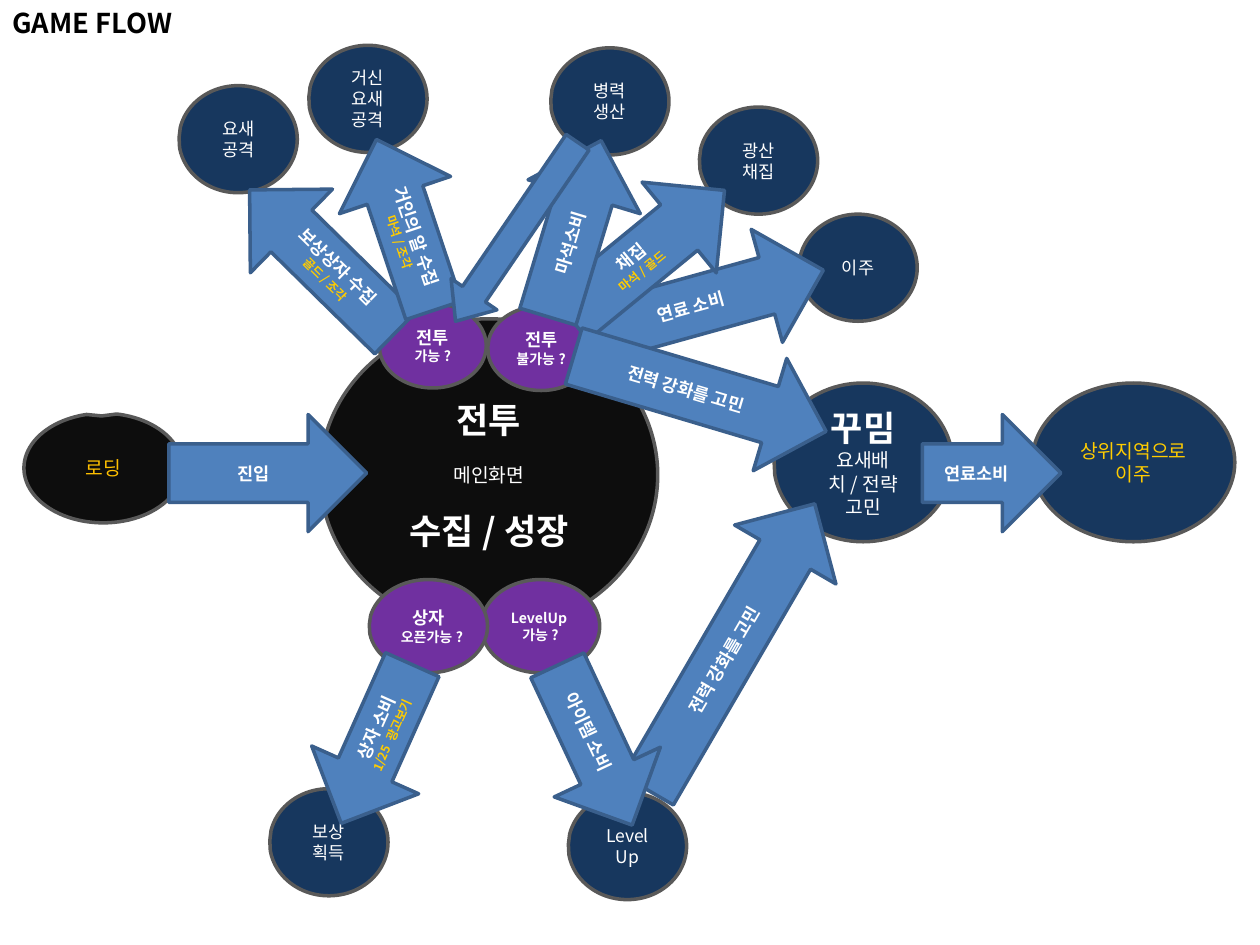
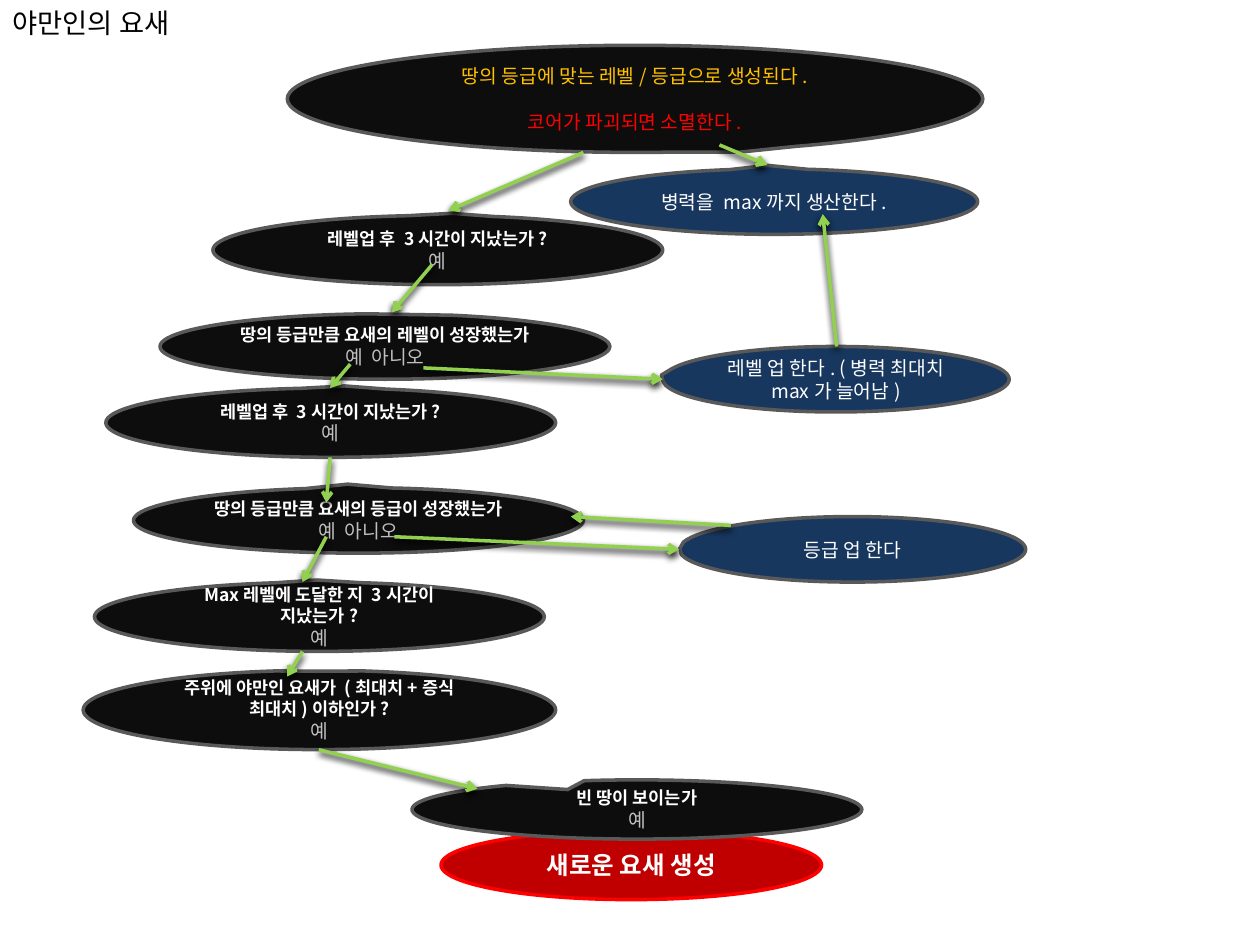
from dataclasses import dataclass, field

from lxml import etree
from pptx import Presentation, util as u
from pptx.dml.color import RGBColor
from pptx.enum import shapes, text
from pptx.oxml.ns import qn


@dataclass(frozen=True)
class Theme:
    font: str = "Noto Sans CJK KR"
    title_size: float = 15.6
    line_width: float = 2
    line_height: float = 1.2
    # Text styles: size, colour, bold
    styles: dict = field(default_factory=lambda: {
        "hero": (20, "FFFFFF", True),
        "result": (14, "FFFFFF", True),
        "body": (11, "FFFFFF", False),
        "amber": (11, "FFC000", False),
        "yellow": (11, "FFCC00", False),
        "red": (11, "FF0000", False),
        "answer": (11, "BFBFBF", False),
        "strong": (10, "FFFFFF", True),
        "node": (10, "FFFFFF", False),
        "check": (8, "FFFFFF", True),
        "reward": (7, "FFCC00", True),
    })
    # Shape looks: fill, outline
    looks: dict = field(default_factory=lambda: {
        "black": ("0D0D0D", "595959"),
        "navy": ("17375E", "595959"),
        "purple": ("7030A0", "595959"),
        "red": ("C00000", "FF0000"),
        "arrow": ("4F81BD", "3A5F8C"),
    })
    link: str = "92D050"
    shadow: str = "000000"


THEME = Theme()
NO_TAIL = (-0.498, -0.016)
BLANK_LINE = 11 * THEME.line_height
NODE_SIZE = (0.94, 0.85)
ARROW_HEIGHT = 0.93
QUESTION_WIDTH = 3.57


# Shared helpers
def set_format(target, values):
    for name, value in values.items():
        setattr(target, name, value)


def set_font(paragraph, size, colour, bold):
    for run in paragraph.runs:
        set_format(run.font, {"name": THEME.font, "size": u.Pt(size), "bold": bold})
        run.font.color.rgb = RGBColor.from_string(colour)
        east_asian = etree.SubElement(run.font._element, qn("a:ea"))
        east_asian.set("typeface", THEME.font)


def write_lines(shape, lines):
    """Each line is (text, style) or (text, style, space before)."""
    frame = shape.text_frame
    set_format(frame, {"word_wrap": True, "vertical_anchor": text.MSO_ANCHOR.MIDDLE})
    for index, (words, style, *space) in enumerate(lines):
        paragraph = frame.paragraphs[0] if index == 0 else frame.add_paragraph()
        size, colour, bold = THEME.styles[style]
        set_format(paragraph, {
            "text": words,
            "alignment": text.PP_ALIGN.CENTER,
            "line_spacing": u.Pt(size * THEME.line_height),
            "space_before": u.Pt(space[0] if space else 0),
        })
        set_font(paragraph, size, colour, bold)


def add_block(slide, kind, box, look, lines, adjustments=()):
    shape = slide.shapes.add_shape(kind, *map(u.Inches, box))
    fill, outline = THEME.looks[look]
    shape.shadow.inherit = False
    shape.fill.solid()
    shape.fill.fore_color.rgb = RGBColor.from_string(fill)
    shape.line.color.rgb = RGBColor.from_string(outline)
    shape.line.width = u.Pt(THEME.line_width)
    for index, value in enumerate(adjustments):
        shape.adjustments[index] = value
    write_lines(shape, lines)
    return shape


def add_oval(slide, box, look, lines, tail=NO_TAIL):
    return add_block(slide, shapes.MSO_SHAPE.OVAL_CALLOUT, box, look, lines, tail)


def add_arrow(slide, box, lines, rotation=0, flip=False, adjustments=()):
    arrow = add_block(slide, shapes.MSO_SHAPE.RIGHT_ARROW, box, "arrow", lines, adjustments)
    arrow.rotation = rotation
    if flip:
        arrow._element.spPr.xfrm.set("flipH", "1")


def add_link(slide, start, end):
    link = slide.shapes.add_connector(
        shapes.MSO_CONNECTOR.STRAIGHT, *map(u.Inches, start + end))
    link.line.color.rgb = RGBColor.from_string(THEME.link)
    link.line.width = u.Pt(THEME.line_width)
    properties = link._element.spPr
    etree.SubElement(properties.find(qn("a:ln")), qn("a:tailEnd"), type="arrow")
    effects = etree.SubElement(properties, qn("a:effectLst"))
    shadow = etree.SubElement(
        effects, qn("a:outerShdw"), blurRad=str(u.Pt(4)), dist=str(u.Pt(2)),
        dir="5400000", rotWithShape="0")
    etree.SubElement(shadow, qn("a:srgbClr"), val=THEME.shadow)


def add_titled_slide(presentation, words, bold):
    slide = presentation.slides.add_slide(presentation.slide_layouts[5])
    title = slide.shapes.title
    set_format(title, {"left": 0, "top": 0,
                       "width": u.Inches(9.69), "height": u.Inches(0.36)})
    set_format(title.text_frame, {
        "text": words, "word_wrap": True,
        "auto_size": text.MSO_AUTO_SIZE.NONE,
        "vertical_anchor": text.MSO_ANCHOR.MIDDLE,
    })
    paragraph = title.text_frame.paragraphs[0]
    paragraph.alignment = text.PP_ALIGN.LEFT
    set_font(paragraph, THEME.title_size, "000000", bold)
    return slide


# Slide 1: the main screen and the activities around it
def build_game_flow(presentation):
    slide = add_titled_slide(presentation, "GAME FLOW", True)

    # Main screen and loading
    add_oval(slide, (2.54, 2.53, 2.68, 2.48), "black", [
        ("전투", "hero"),
        ("메인화면", "body", BLANK_LINE),
        ("수집/성장", "hero", BLANK_LINE),
    ], (0, 0.476))
    add_oval(slide, (0.19, 3.28, 1.26, 0.87), "black", [("로딩", "amber")], (-0.01, -0.475))

    # Checks on the rim of the main screen
    checks = [
        ((3.01, 2.41, 0.85, 0.67), [("전투", "strong"), ("가능?", "check")]),
        ((3.87, 2.43, 0.85, 0.67), [("전투", "strong"), ("불가능?", "check")]),
        ((3.82, 4.6, 0.94, 0.74), [("LevelUp가능?", "check")]),
        ((2.93, 4.6, 0.94, 0.74), [("상자", "strong"), ("오픈가능?", "check")]),
    ]
    for box, lines in checks:
        add_oval(slide, box, "purple", lines)

    # Activities
    activities = [
        (6.34, 1.7, ["이주"]),
        (1.42, 0.68, ["요새", "공격"]),
        (2.45, 0.36, ["거신", "요새", "공격"]),
        (4.51, 6.29, ["Level", "Up"]),
        (2.14, 6.26, ["보상", "획득"]),
        (5.55, 0.85, ["광산", "채집"]),
        (4.37, 0.38, ["병력", "생산"]),
    ]
    for left, top, words in activities:
        add_oval(slide, (left, top, *NODE_SIZE), "navy", [(word, "node") for word in words])

    # Decoration and moving on
    add_oval(slide, (6.14, 3.04, 1.42, 1.26), "navy",
             [("꾸밈", "hero"), ("요새배치/전략 고민", "body")])
    add_oval(slide, (8.19, 3.04, 1.61, 1.26), "navy", [("상위지역으로 이주", "yellow")])

    # Arrows: left, top, width, rotation, flipped, action, reward
    arrows = [
        (4.62, 1.94, 1.95, 344.5, False, "연료 소비", None),
        (1.75, 1.61, 1.62, 44.5, True, "보상상자 수집", "골드/조각"),
        (2.5, 1.32, 1.43, 71.5, True, "거인의 알 수집", "마석/조각"),
        (4.34, 1.55, 1.59, 320.7, False, "채집", "마석/골드"),
        (4.51, 2.66, 2.09, 16.6, False, "전력 강화를 고민", None),
        (4.49, 4.67, 2.63, 300.2, False, "전력 강화를 고민", None),
        (4.02, 5.45, 1.4, 64.9, False, "아이템 소비", None),
        (2.3, 5.44, 1.38, 294.1, True, "상자 소비", "1/25 광고보기"),
        (1.34, 3.29, 1.57, 0, False, "진입", None),
        (7.32, 3.29, 1.1, 0, False, "연료소비", None),
        (3.83, 1.35, 1.46, 286.8, False, "마석소비", None),
    ]
    for left, top, width, rotation, flip, action, reward in arrows:
        lines = [(action, "strong")] + ([(reward, "reward")] if reward else [])
        add_arrow(slide, (left, top, width, ARROW_HEIGHT), lines, rotation, flip)
    # Troops return to battle
    add_arrow(slide, (3.24, 1.62, 1.72, 0.44), [], 304.3, True, (0.5, 0.59))


# Slide 2: how a fortress grows
def build_fortress_flow(presentation):
    slide = add_titled_slide(presentation, "야만인의 요새", False)

    # Result and starting rule
    add_oval(slide, (3.5, 6.59, 3.02, 0.55), "red",
             [("새로운 요새 생성", "result")], (0.008, -0.413))
    add_oval(slide, (2.28, 0.36, 5.52, 0.85), "black", [
        ("땅의 등급에 맞는 레벨/등급으로 생성된다.", "amber"),
        ("코어가 파괴되면 소멸한다.", "red", BLANK_LINE),
    ], (0.15, 0.498))

    # Questions: left, top, width, height, question, answers, tail
    waited = "레벨업 후 3시간이 지났는가?"
    questions = [
        (1.27, 2.49, QUESTION_WIDTH, 0.52, "땅의 등급만큼 요새의 레벨이 성장했는가",
         "예  아니오", (0.054, -0.488)),
        (3.27, 6.19, QUESTION_WIDTH, 0.47, "빈 땅이 보이는가", "예", (-0.154, -0.337)),
        (0.66, 5.32, 3.75, 0.63, "주위에 야만인 요새가 (최대치+증식 최대치)이하인가?",
         "예", (0, -0.49)),
        (1.69, 1.71, QUESTION_WIDTH, 0.55, waited, "예", (0.031, -0.531)),
        (1.06, 3.87, QUESTION_WIDTH, 0.52, "땅의 등급만큼 요새의 등급이 성장했는가",
         "예  아니오", (-0.024, -0.553)),
        (0.75, 4.62, QUESTION_WIDTH, 0.55, "Max레벨에 도달한 지 3시간이 지났는가?",
         "예", (-0.005, -0.531)),
        (0.84, 3.08, QUESTION_WIDTH, 0.55, waited, "예", (0.031, -0.531)),
    ]
    for *box, question, answers, tail in questions:
        add_oval(slide, box, "black", [(question, "strong"), (answers, "answer")], tail)

    # Actions
    actions = [
        (5.26, 2.75, 2.75, "레벨 업 한다. (병력 최대치 max가 늘어남)", (-0.504, -0.065)),
        (4.53, 1.34, 3.23, "병력을 max까지 생산한다.", (-0.016, -0.553)),
        (5.39, 4.1, 2.75, "등급 업 한다", NO_TAIL),
    ]
    for left, top, width, words, tail in actions:
        add_oval(slide, (left, top, width, 0.52), "navy", [(words, "body")], tail)

    # Links between the steps
    links = [
        ((6.64, 2.75), (6.53, 1.7)),
        ((5.8, 4.17), (4.53, 4.1)),
        ((4.63, 1.21), (3.56, 1.67)),
        ((3.43, 2.1), (3.11, 2.48)),
        ((2.62, 3.63), (2.59, 3.99)),
        ((2.59, 4.26), (2.4, 4.62)),
        ((2.4, 5.17), (2.28, 5.37)),
        ((2.53, 5.95), (3.79, 6.26)),
        ((5.71, 1.15), (6.09, 1.31)),
        ((3.36, 2.92), (5.26, 3.01)),
        ((3.13, 4.26), (5.39, 4.36)),
        ((2.78, 2.89), (2.62, 3.08)),
    ]
    for start, end in links:
        add_link(slide, start, end)


def main():
    presentation = Presentation()
    set_format(presentation, {"slide_width": u.Inches(10), "slide_height": u.Inches(7.5)})
    build_game_flow(presentation)
    build_fortress_flow(presentation)
    presentation.save("out.pptx")


if __name__ == "__main__":
    main()
